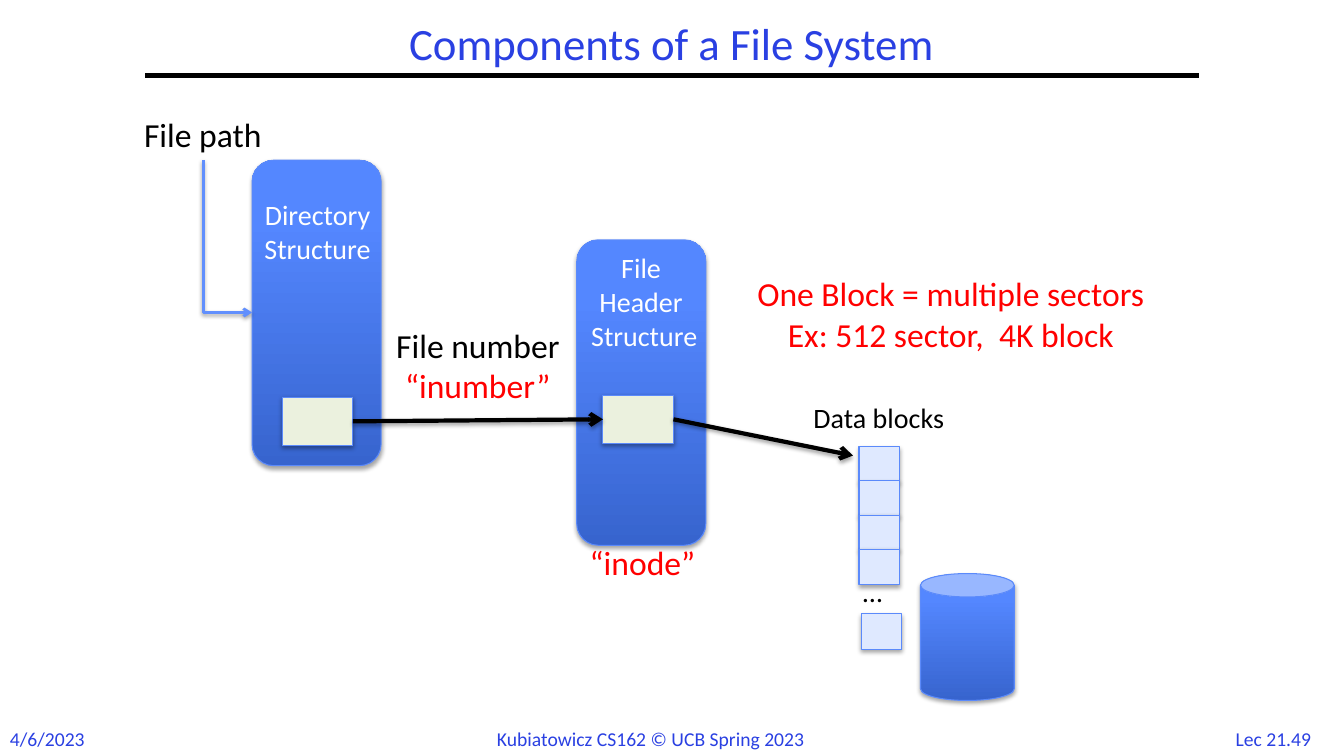
from lxml.etree import SubElement
from pptx import Presentation
from pptx.dml.color import RGBColor
from pptx.enum.shapes import MSO_CONNECTOR as Connector, MSO_SHAPE as Shape
from pptx.enum.text import MSO_ANCHOR as Anchor, MSO_AUTO_SIZE as AutoSize, PP_ALIGN as Align
from pptx.oxml.ns import qn
from pptx.util import Pt

PX = 9144
FONT = "Calibri"
BLUE, BLACK, RED, WHITE = "2A40E2", "000000", "FF0000", "FFFFFF"
EDGE, ELBOW, SLOT, BLOCK = "5B8AFB", "618FFD", "EBF1DE", "DFE9FF"
GRADIENT = [(0, "3764CE"), (0.8, "5487FF")]

TITLE = ("Components of a File System", (144, 17, 1044, 58))
TITLE_RULE = (144, 75, 1189, 75)
STRUCTURES = {
    "directory": (Shape.ROUNDED_RECTANGLE, (250, 159, 128, 303)),
    "header": (Shape.ROUNDED_RECTANGLE, (572, 238, 128, 303)),
    "disk": (Shape.CAN, (913, 569, 93, 126)),
}
DIRECTORY_SLOT = (280, 394, 70, 48)
HEADER_SLOT = (598, 392, 70, 48)
BLOCK_TOP, BLOCK_PITCH, BLOCK_COUNT = 443, 34, 4
BLOCK_LEFT, BLOCK_WIDTH, BLOCK_HEIGHT = 852, 40, 35
LAST_BLOCK = (854, 609, BLOCK_WIDTH, BLOCK_HEIGHT)
PATH_START, PATH_END = (202, 159), (250, 310)
DATA_ARROW_END = (846, 452)
LABELS = [
    (["Lec 21.49"], (1209, 716, 108, 33), 14, BLUE, Align.CENTER),
    (["4/6/2023"], (0, 716, 96, 34), 14, BLUE, Align.LEFT),
    (["Kubiatowicz CS162 © UCB Spring 2023"], (483, 716, 368, 34), 14, BLUE, Align.LEFT),
    (["File path"], (133, 108, 149, 50), 24, BLACK, Align.LEFT),
    (["Directory", "Structure"], (248, 191, 134, 77), 20, WHITE, Align.CENTER),
    (["File ", "Header ", "Structure"], (572, 244, 134, 111), 20, WHITE, Align.CENTER),
    (["File number"], (375, 317, 198, 50), 24, BLACK, Align.CENTER),
    (["“inumber”"], (391, 357, 166, 50), 24, RED, Align.CENTER),
    (["“inode”"], (575, 533, 125, 50), 24, RED, Align.LEFT),
    (["…"], (846, 565, 48, 44), 20, BLACK, Align.LEFT),
    (["Data blocks"], (797, 392, 167, 44), 20, BLACK, Align.LEFT),
    (["One Block = multiple sectors", "Ex: 512 sector,  4K block"],
     (719, 266, 448, 91), 24, RED, Align.CENTER),
]


def color(value):
    return RGBColor.from_string(value)


def emu(lengths):
    return [length * PX for length in lengths]


def set_all(target, values):
    for name, value in values.items():
        setattr(target, name, value)


def write(frame, lines, size, ink, align, spacing=None):
    for index, line in enumerate(lines):
        paragraph = frame.add_paragraph() if index else frame.paragraphs[0]
        set_all(paragraph, {"text": line, "alignment": align, "line_spacing": spacing})
        set_all(paragraph.runs[0].font, {"name": FONT, "size": Pt(size), "bold": False})
        paragraph.runs[0].font.color.rgb = color(ink)


def add_shadow(properties, distance, alpha):
    effects = SubElement(properties, qn("a:effectLst"))
    shadow = SubElement(effects, qn("a:outerShdw"), blurRad="40000", dist=str(distance),
                        dir="5400000", rotWithShape="0")
    black = SubElement(shadow, qn("a:srgbClr"), val=BLACK)
    SubElement(black, qn("a:alpha"), val=str(alpha * 1000))


def add_solid(slide, kind, box, fill=None):
    shape = slide.shapes.add_shape(kind, *emu(box))
    if fill:
        shape.fill.solid()
        shape.fill.fore_color.rgb = color(fill)
    else:
        shape.fill.gradient()
        shape.fill.gradient_angle = 90
        for stop, (position, value) in zip(shape.fill.gradient_stops, GRADIENT):
            stop.position = position
            stop.color.rgb = color(value)
    shape.line.color.rgb = color(EDGE)
    shape.line.width = Pt(0.75)
    add_shadow(shape.element.spPr, 23000, 35)
    return shape


def add_line(slide, kind, ends, ink, width, arrow=True):
    connector = slide.shapes.add_connector(kind, *emu(ends))
    connector.line.color.rgb = color(ink)
    connector.line.width = Pt(width)
    properties = connector.element.spPr
    if arrow:
        SubElement(properties.find(qn("a:ln")), qn("a:tailEnd"), type="arrow")
        add_shadow(properties, 20000, 38)
    else:
        SubElement(properties, qn("a:effectLst"))
    return connector


def add_path_arrow(slide):
    (left, top), (right, bottom) = PATH_START, PATH_END
    width, height = bottom - top, right - left
    x, y = (left + right - width) / 2, (top + bottom - height) / 2
    connector = add_line(slide, Connector.ELBOW, (left, top, right, bottom), ELBOW, 2)
    set_all(connector, {"left": round(x * PX), "top": round(y * PX),
                        "width": width * PX, "height": height * PX})
    properties = connector.element.spPr
    properties.find(qn("a:prstGeom")).set("prst", "bentConnector2")
    transform = properties.find(qn("a:xfrm"))
    transform.set("rot", "16200000")
    transform.set("flipH", "1")


def add_title(slide):
    text, box = TITLE
    title = slide.shapes.title
    set_all(title, dict(zip(("left", "top", "width", "height"), emu(box))))
    set_all(title.text_frame, {"vertical_anchor": Anchor.MIDDLE, "auto_size": AutoSize.NONE})
    write(title.text_frame, [text], 32, BLUE, Align.CENTER, 0.9)
    add_line(slide, Connector.STRAIGHT, TITLE_RULE, BLACK, 3, arrow=False)


def add_diagram(slide):
    for kind, box in STRUCTURES.values():
        add_solid(slide, kind, box)
    add_path_arrow(slide)
    directory_slot, header_slot = [
        add_solid(slide, Shape.RECTANGLE, box, SLOT) for box in (DIRECTORY_SLOT, HEADER_SLOT)]
    number_arrow = add_line(slide, Connector.STRAIGHT, (350, 418, 598, 416), BLACK, 3)
    number_arrow.begin_connect(directory_slot, 3)
    number_arrow.end_connect(header_slot, 1)
    data_arrow = add_line(slide, Connector.STRAIGHT, (668, 416, *DATA_ARROW_END), BLACK, 3)
    data_arrow.begin_connect(header_slot, 3)
    blocks = [(BLOCK_LEFT, BLOCK_TOP + BLOCK_PITCH * index, BLOCK_WIDTH, BLOCK_HEIGHT)
              for index in range(BLOCK_COUNT)]
    for box in blocks + [LAST_BLOCK]:
        add_solid(slide, Shape.RECTANGLE, box, BLOCK)


def main():
    presentation = Presentation()
    set_all(presentation, {"slide_width": 1333 * PX, "slide_height": 750 * PX})
    slide = presentation.slides.add_slide(presentation.slide_layouts[5])
    add_title(slide)
    add_diagram(slide)
    for lines, box, size, ink, align in LABELS:
        frame = slide.shapes.add_textbox(*emu(box)).text_frame
        set_all(frame, {"word_wrap": False, "auto_size": AutoSize.SHAPE_TO_FIT_TEXT})
        write(frame, lines, size, ink, align)
    presentation.save("out.pptx")


if __name__ == "__main__":
    main()
